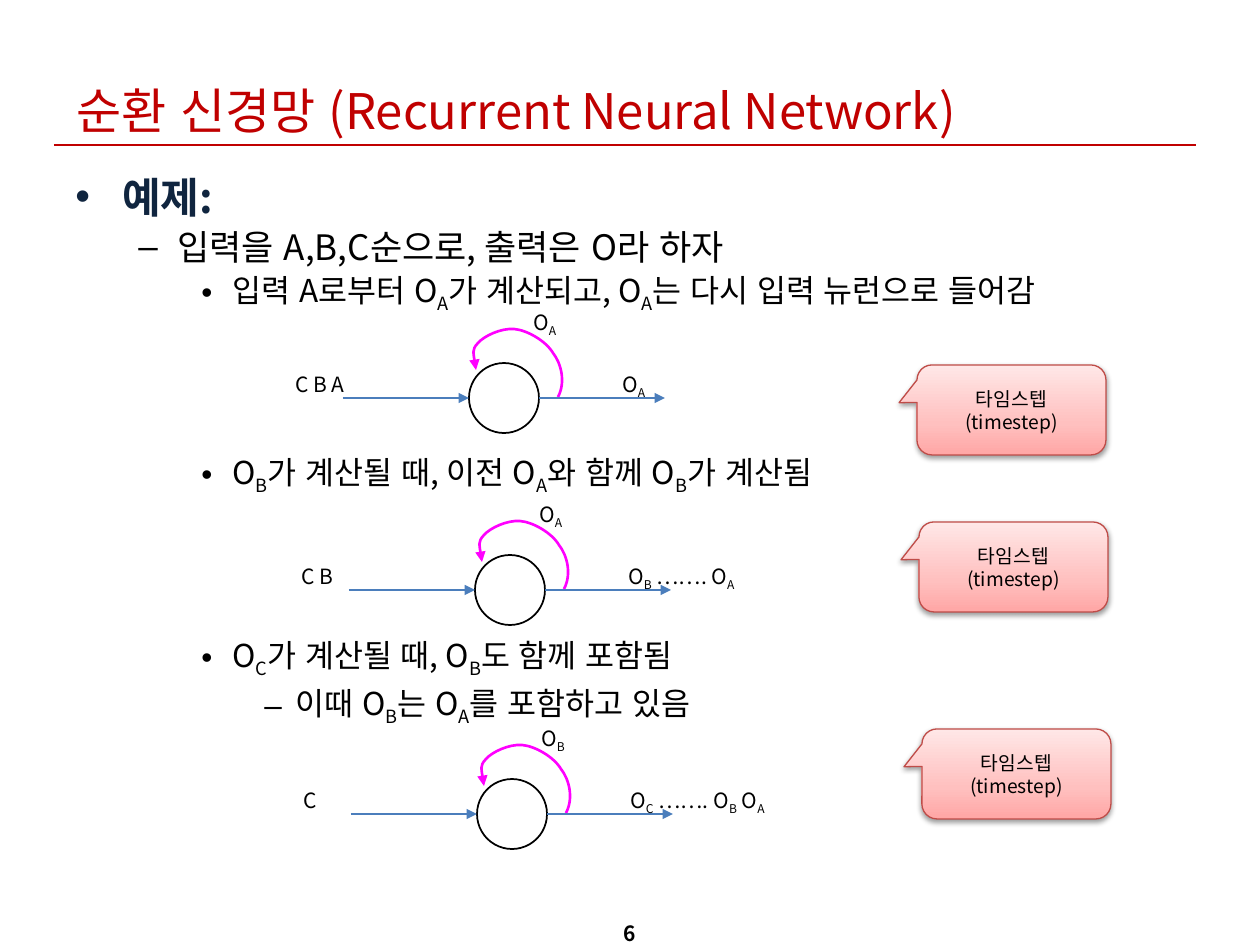
"""Build a slide that explains a recurrent neural network over three time steps."""
from copy import deepcopy

from lxml import etree
from pptx import Presentation
from pptx.dml.color import RGBColor
from pptx.enum.shapes import MSO_CONNECTOR, MSO_SHAPE
from pptx.enum.text import MSO_ANCHOR, MSO_AUTO_SIZE, PP_ALIGN
from pptx.oxml.ns import qn
from pptx.util import Pt

PX = 914400 / 126
FONT = "Noto Sans CJK KR"
STRAIGHT = MSO_CONNECTOR.STRAIGHT
OVAL = MSO_SHAPE.OVAL
CALLOUT = MSO_SHAPE.ROUNDED_RECTANGULAR_CALLOUT
CENTER, LEFT = PP_ALIGN.CENTER, PP_ALIGN.LEFT
TOP, MIDDLE, BOTTOM = MSO_ANCHOR.TOP, MSO_ANCHOR.MIDDLE, MSO_ANCHOR.BOTTOM
FIT_SHAPE = MSO_AUTO_SIZE.SHAPE_TO_FIT_TEXT

COLORS = {
    "red": "C00000", "navy": "10253F", "black": "000000", "white": "FFFFFF",
    "blue": "4B7EBC", "magenta": "FF00FF", "callout_line": "BF4C48",
}
GRADIENT = [(0, "FFA6A5"), (0.35, "FFC0BF"), (1, "FFE7E7")]


def px(*lengths):
    return [round(length * PX) for length in lengths]


def add_runs(paragraph, text, size, color="black", bold=False):
    """Add runs; a letter after an underscore is a subscript."""
    first, *rest = text.split("_")
    pieces = [(first, False)]
    for part in rest:
        pieces += [(part[0], True), (part[1:], False)]
    for piece, subscript in pieces:
        if not piece:
            continue
        run = paragraph.add_run()
        run.text = piece
        run.font.size = Pt(size)
        run.font.bold = bold
        run.font.name = FONT
        run.font.color.rgb = RGBColor.from_string(COLORS[color])
        properties = run.font._element
        properties.set("lang", "ko-KR")
        properties.set("kern", "1200")
        etree.SubElement(properties, qn("a:ea"), typeface=FONT)
        if subscript:
            properties.set("baseline", "-25000")


presentation = Presentation()
presentation.slide_width, presentation.slide_height = px(1260, 945)
slide = presentation.slides.add_slide(presentation.slide_layouts[6])
shapes = slide.shapes

BODY = [
    (0, "예제:", 24, "navy", True, 0),
    (1, "입력을 A,B,C순으로, 출력은 O라 하자", 20, "black", False, 2.5),
    (2, "입력 A로부터 O_A가 계산되고, O_A는 다시 입력 뉴런으로 들어감", 18, "black", False, 2),
    (2, "O_B가 계산될 때, 이전 O_A와 함께 O_B가 계산됨", 18, "black", False, 79),
    (2, "O_C가 계산될 때, O_B도 함께 포함됨", 18, "black", False, 80),
    (3, "이때 O_B는 O_A를 포함하고 있음", 18, "black", False, 3),
]
INDENTS = [(47, -47), (102, -39), (157, -31), (220, -31)]
body = shapes.add_textbox(*px(63, 165, 1134, 711))
body.text_frame.word_wrap = True
for index, (level, text, size, color, bold, space) in enumerate(BODY):
    paragraph = body.text_frame.paragraphs[0] if index == 0 else body.text_frame.add_paragraph()
    paragraph.level = level
    paragraph.space_before = Pt(space)
    margin, indent = px(*INDENTS[level])
    properties = paragraph._p.get_or_add_pPr()
    properties.set("marL", str(margin))
    properties.set("indent", str(indent))
    etree.SubElement(properties, qn("a:buFont"), typeface="Arial")
    etree.SubElement(properties, qn("a:buChar"), char="•–"[level % 2])
    add_runs(paragraph, text, size, color, bold)

# left, top, input, loop, output
STEPS = [
    (469, 363, ("C B A", 83), "O_A", ("O_A", 50)),
    (475, 555, ("C B", 62), "O_A", ("O_B ……. O_A", 140)),
    (477, 779, ("C", 40), "O_B", ("O_C ……. O_B O_A", 174)),
]
LOOP_START = (89, 34)
LOOP_CURVE = [
    (97, 19), (92, 0), (84, -10), (77, -22), (58, -33), (45, -34),
    (32, -35), (15, -27), (9, -20), (2, -13), (7, 7), (7, 7),
]
DIAMETER, ARROW = 70, 126
lines = [(54, 145, 1196, 145, "red", False)]
labels = [
    (64, 37, 1131, 109, "순환 신경망 (Recurrent Neural Network)", 28, "red", False, LEFT, BOTTOM, True),
    (483, 914, 294, 34, "6", 12, "black", True, CENTER, TOP, True),
]
for left, top, (entry, entry_width), loop_text, (output, output_width) in STEPS:
    builder = shapes.build_freeform(left + LOOP_START[0], top + LOOP_START[1], scale=PX)
    builder.add_line_segments([(left + x, top + y) for x, y in LOOP_CURVE], close=False)
    loop = builder.convert_to_shape()
    loop.shadow.inherit = False
    loop.fill.background()
    loop.line.color.rgb = RGBColor.from_string(COLORS["magenta"])
    loop.line.width = Pt(1.5)
    etree.SubElement(loop.line._get_or_add_ln(), qn("a:tailEnd"), type="triangle")
    segments = loop._element.xpath(".//a:lnTo")
    for start in range(0, len(segments), 3):
        curve = etree.Element(qn("a:cubicBezTo"))
        segments[start].addprevious(curve)
        for segment in segments[start:start + 3]:
            curve.append(segment[0])
            segment.getparent().remove(segment)

    neuron = shapes.add_shape(OVAL, *px(left, top, DIAMETER, DIAMETER))
    neuron.shadow.inherit = False
    neuron.fill.solid()
    neuron.fill.fore_color.rgb = RGBColor.from_string(COLORS["white"])
    neuron.line.color.rgb = RGBColor.from_string(COLORS["black"])
    neuron.line.width = Pt(1)

    middle, right = top + DIAMETER // 2, left + DIAMETER
    lines += [
        (left - ARROW, middle, left, middle, "blue", True),
        (right, middle, right + ARROW, middle, "blue", True),
    ]
    for x, y, width, text in [
        (left - 186, top + 2, entry_width, entry),
        (left + 52, top - 60, 50, loop_text),
        (left + 141, top + 2, output_width, output),
    ]:
        labels.append((x, y, width, 38, text, 12, "black", False, LEFT, TOP, False))

for x1, y1, x2, y2, color, arrow in lines:
    line = shapes.add_connector(STRAIGHT, *px(x1, y1, x2, y2))
    line.line.color.rgb = RGBColor.from_string(COLORS[color])
    line.line.width = Pt(0.75)
    if arrow:
        etree.SubElement(line.line._get_or_add_ln(), qn("a:tailEnd"), type="triangle")
    etree.SubElement(line._element.spPr, qn("a:effectLst"))

for x, y, width, height, text, size, color, bold, alignment, anchor, wrap in labels:
    label = shapes.add_textbox(*px(x, y, width, height))
    label.text_frame.word_wrap = wrap
    label.text_frame.vertical_anchor = anchor
    if not wrap:
        label.text_frame.auto_size = FIT_SHAPE
    paragraph = label.text_frame.paragraphs[0]
    paragraph.alignment = alignment
    add_runs(paragraph, text, size, color, bold)

for left, top in [(919, 522), (917, 365), (922, 729)]:
    callout = shapes.add_shape(CALLOUT, *px(left, top, 189, 90))
    for index, value in enumerate([-0.595, -0.08, 0.167]):
        callout.adjustments[index] = value
    callout.fill.gradient()
    callout.fill.gradient_angle = 90
    stop_list = callout._element.xpath(".//a:gsLst")[0]
    stop_list.append(deepcopy(stop_list[0]))
    for stop, (position, color) in zip(callout.fill.gradient_stops, GRADIENT):
        stop.position = position
        stop.color.rgb = RGBColor.from_string(color)
    callout.line.color.rgb = RGBColor.from_string(COLORS["callout_line"])
    callout.line.width = Pt(0.75)
    callout.shadow.inherit = False
    effects = callout._element.spPr.find(qn("a:effectLst"))
    shadow = etree.SubElement(effects, qn("a:outerShdw"), blurRad=str(Pt(3.1)),
                              dist=str(Pt(1.6)), dir="5400000", rotWithShape="0")
    shadow_color = etree.SubElement(shadow, qn("a:srgbClr"), val=COLORS["black"])
    etree.SubElement(shadow_color, qn("a:alpha"), val="38000")
    frame = callout.text_frame
    frame.word_wrap = True
    frame.vertical_anchor = MIDDLE
    for paragraph, text in [(frame.paragraphs[0], "타임스텝"), (frame.add_paragraph(), "(timestep)")]:
        paragraph.alignment = CENTER
        add_runs(paragraph, text, 11)

presentation.save("out.pptx")
